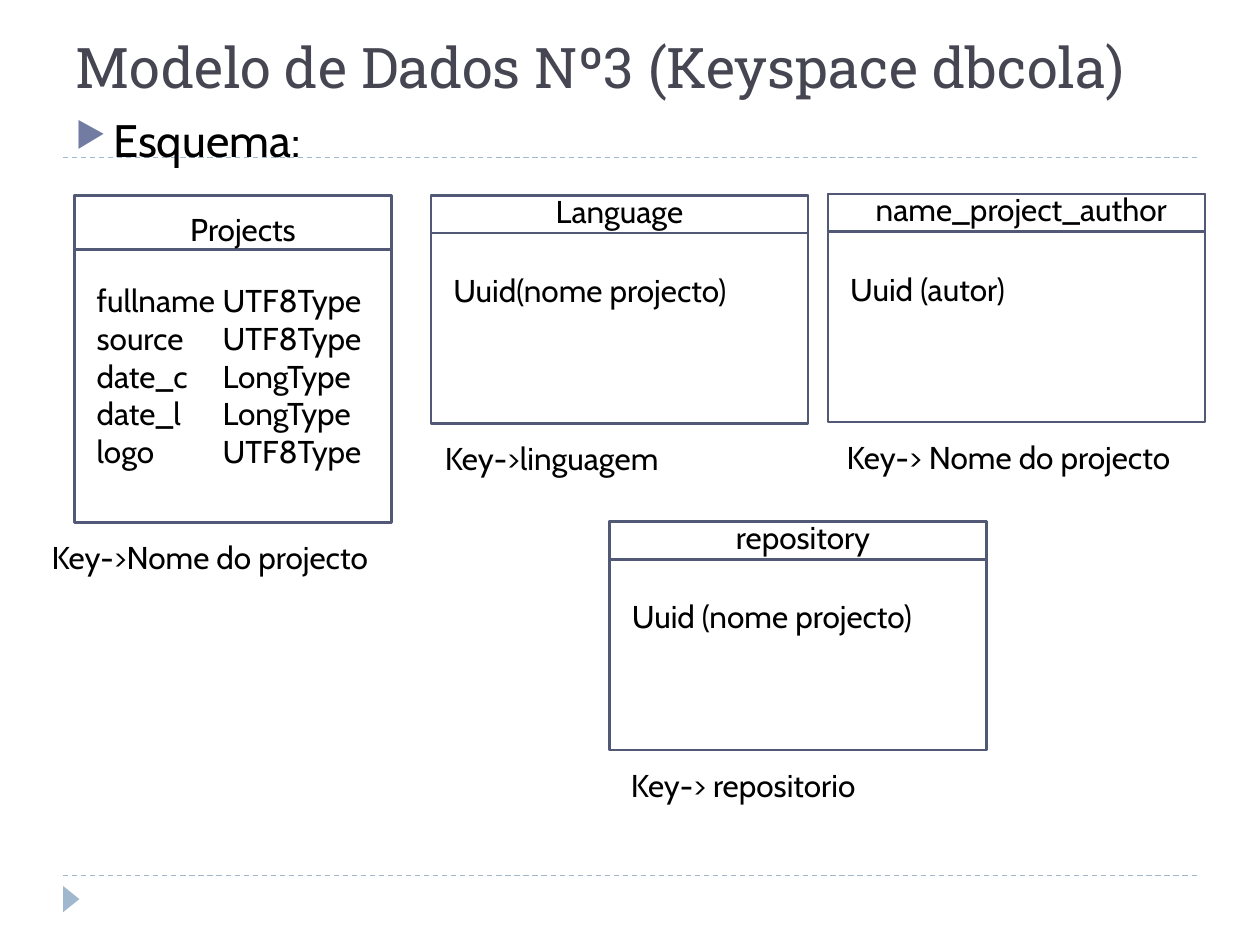
"""Build the slide showing the schema of the dbcola keyspace."""
import lxml.etree
import pptx
import pptx.dml.color
import pptx.enum.dml
import pptx.enum.shapes
import pptx.enum.text
import pptx.oxml.ns
import pptx.util

Cm = pptx.util.Cm
RGB = pptx.dml.color.RGBColor.from_string
SHAPES = pptx.enum.shapes.MSO_SHAPE
ALIGN = pptx.enum.text.PP_ALIGN
ANCHOR = pptx.enum.text.MSO_ANCHOR

HEADING = "Modelo de Dados Nº3 (Keyspace dbcola)"
SECTION = "Esquema:"
FAMILIES = [
    {"name": "Projects", "key": "Key->Nome do projecto",
     "columns": ["fullname\tUTF8Type", "source\tUTF8Type", "date_c\tLongType",
                 "date_l\tLongType", "logo\tUTF8Type"],
     "box": (1.5, 3.94, 6.4, 6.6), "header": 1.09,
     "name_shift": (0.2, 0.17), "columns_drop": 1.6, "key_shift": -0.71},
    {"name": "Language", "key": "Key->linguagem",
     "columns": ["Uuid(nome projecto)"],
     "box": (8.69, 3.94, 7.6, 4.6), "header": 0.76,
     "name_shift": (0, -0.2), "columns_drop": 1.4, "key_shift": 0.03},
    {"name": "name_project_author", "key": "Key-> Nome do projecto",
     "columns": ["Uuid (autor)"],
     "box": (16.69, 3.91, 7.6, 4.6), "header": 0.76,
     "name_shift": (0.1, -0.2), "columns_drop": 1.4, "key_shift": 0.13},
    {"name": "repository", "key": "Key-> repositorio",
     "columns": ["Uuid (nome projecto)"],
     "box": (12.29, 10.52, 7.6, 4.6), "header": 0.76,
     "name_shift": (0.1, -0.2), "columns_drop": 1.4, "key_shift": 0.18},
]
THEME = {
    "heading_font": "Roboto Slab", "body_font": "Cabin",
    "heading_size": 32, "section_size": 26, "body_size": 18,
    "heading": "464653", "text": "000000", "bullet": "727CA3",
    "border": "525977", "rule": "9FB8CD",
}
MARGIN, CONTENT_WIDTH = 1.27, 22.86
RULE_TOPS = (3.18, 17.65)
LINE_HEIGHT, KEY_WIDTH, KEY_GAP, COLUMN_INDENT = 1.02, 7.6, 0.19, 0.2


def add_element(parent, tag, **attributes):
    return lxml.etree.SubElement(parent, pptx.oxml.ns.qn(tag), attributes)


def add_bullet(paragraph):
    properties = paragraph._p.get_or_add_pPr()
    properties.set("marL", str(Cm(0.76)))
    properties.set("indent", str(-Cm(0.76)))
    color = add_element(properties, "a:buClr")
    add_element(color, "a:srgbClr", val=THEME["bullet"])
    add_element(properties, "a:buSzPct", val="76000")
    add_element(properties, "a:buChar", char="▶")


def add_tab(paragraph, position):
    tabs = add_element(paragraph._p.get_or_add_pPr(), "a:tabLst")
    add_element(tabs, "a:tab", pos=str(Cm(position)), algn="l")


def add_text(slide, text, box, font="body_font", size="body_size", color="text",
             align=ALIGN.LEFT, anchor=ANCHOR.TOP, bullet=False):
    frame = slide.shapes.add_textbox(*map(Cm, box)).text_frame
    frame.word_wrap = True
    frame.vertical_anchor = anchor
    frame.text = text
    for paragraph in frame.paragraphs:
        paragraph.alignment = align
        if bullet:
            add_bullet(paragraph)
        if "\t" in text:
            add_tab(paragraph, 2.54)
        paragraph.font.name = THEME[font]
        paragraph.font.size = pptx.util.Pt(THEME[size])
        paragraph.font.color.rgb = RGB(THEME[color])


def add_rule(slide, top):
    rule = slide.shapes.add_connector(
        pptx.enum.shapes.MSO_CONNECTOR.STRAIGHT,
        Cm(MARGIN), Cm(top), Cm(MARGIN + CONTENT_WIDTH), Cm(top))
    rule.line.color.rgb = RGB(THEME["rule"])
    rule.line.width = pptx.util.Pt(0.75)
    rule.line.dash_style = pptx.enum.dml.MSO_LINE.DASH
    add_element(rule._element.spPr, "a:effectLst")


def add_page_marker(slide):
    marker = slide.shapes.add_shape(
        SHAPES.ISOSCELES_TRIANGLE, Cm(1.17), Cm(17.96), Cm(0.53), Cm(0.33))
    marker.rotation = 90
    marker.shadow.inherit = False
    marker.fill.solid()
    marker.fill.fore_color.rgb = RGB(THEME["rule"])
    marker.line.fill.background()


def add_frame(slide, box):
    frame = slide.shapes.add_shape(SHAPES.RECTANGLE, *map(Cm, box))
    frame.shadow.inherit = False
    frame.fill.background()
    frame.line.color.rgb = RGB(THEME["border"])
    frame.line.width = pptx.util.Pt(1.5)


def add_family(slide, family):
    left, top, width, height = family["box"]
    name_dx, name_dy = family["name_shift"]
    columns = family["columns"]
    add_frame(slide, family["box"])
    add_frame(slide, (left, top, width, family["header"]))
    add_text(slide, family["name"],
             (left + name_dx, top + name_dy, width, LINE_HEIGHT), align=ALIGN.CENTER)
    add_text(slide, "\n".join(columns),
             (left + COLUMN_INDENT, top + family["columns_drop"],
              width - COLUMN_INDENT, LINE_HEIGHT * len(columns)))
    add_text(slide, family["key"],
             (left + family["key_shift"], top + height + KEY_GAP, KEY_WIDTH, LINE_HEIGHT))


def main():
    presentation = pptx.Presentation()
    presentation.slide_width, presentation.slide_height = Cm(25.4), Cm(19.05)
    slide = presentation.slides.add_slide(presentation.slide_layouts[6])
    for top in reversed(RULE_TOPS):
        add_rule(slide, top)
    add_page_marker(slide)
    add_text(slide, HEADING, (MARGIN, 0.43, CONTENT_WIDTH, 1.7), font="heading_font",
             size="heading_size", color="heading", anchor=ANCHOR.BOTTOM)
    add_text(slide, SECTION, (MARGIN, 2.13, CONTENT_WIDTH, 14.99),
             size="section_size", bullet=True)
    for family in FAMILIES:
        add_family(slide, family)
    presentation.save("out.pptx")


if __name__ == "__main__":
    main()
